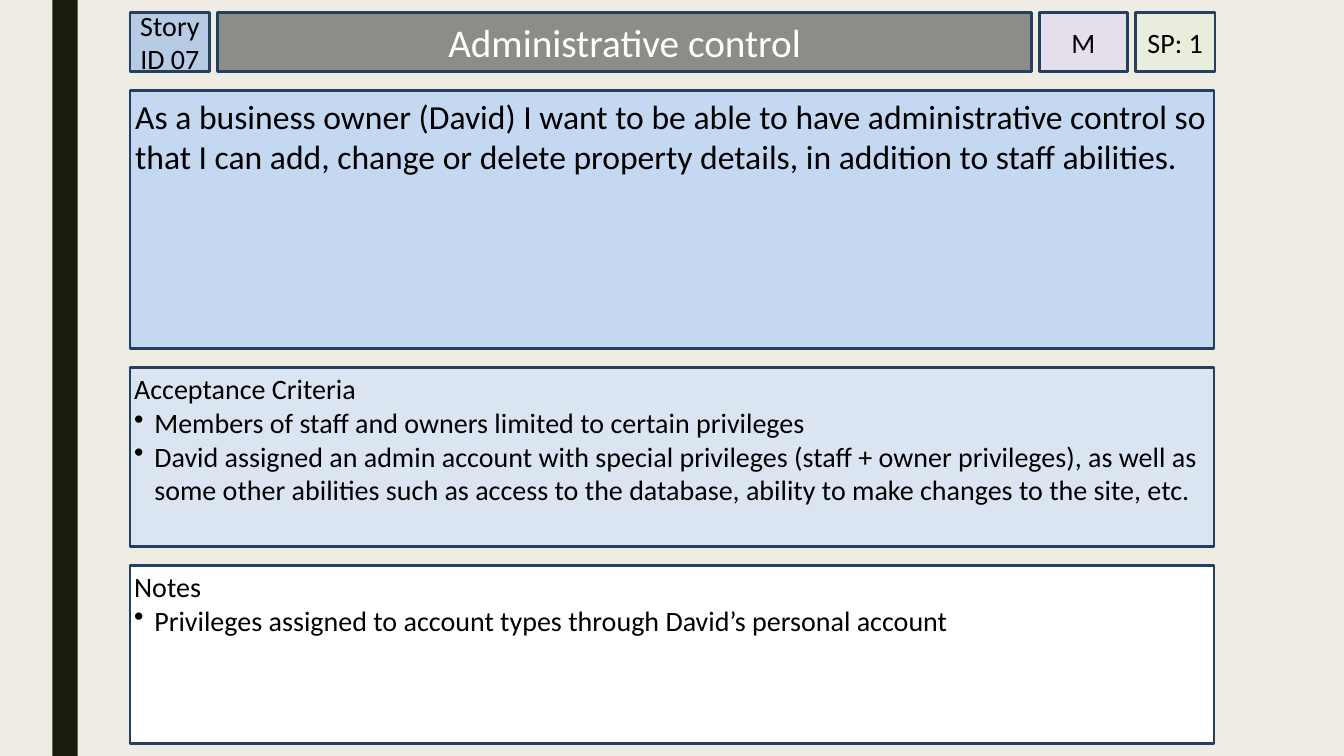
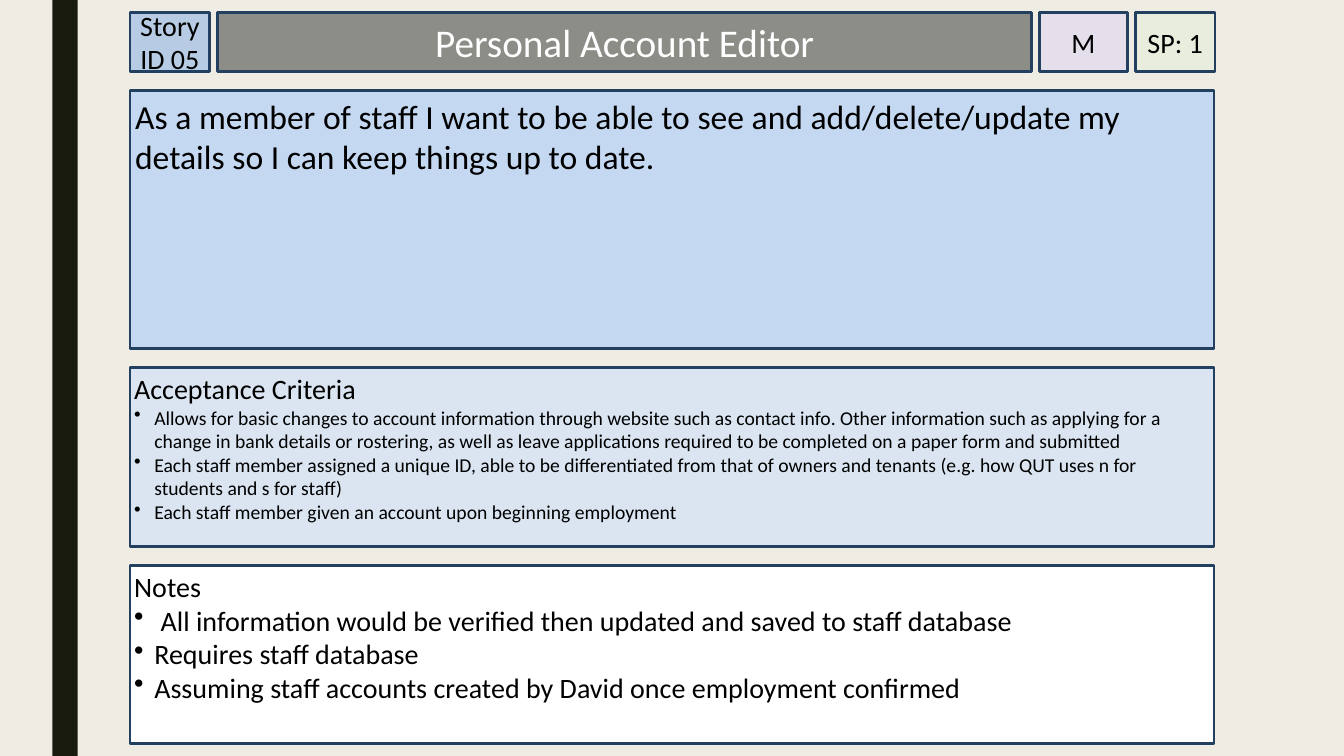
"""Build two user story cards that share one header row and three stacked panels."""
from dataclasses import dataclass

import lxml.etree
import pptx
import pptx.dml.color
import pptx.enum.shapes
import pptx.enum.text
import pptx.oxml.ns
import pptx.util

Inches = pptx.util.Inches
Pt = pptx.util.Pt
RGBColor = pptx.dml.color.RGBColor
Align = pptx.enum.text.PP_ALIGN
Anchor = pptx.enum.text.MSO_ANCHOR
qn = pptx.oxml.ns.qn

PAPER = RGBColor(0xEF, 0xED, 0xE3)
SIDE_BAND = RGBColor(0x19, 0x1B, 0x0E)
BORDER = RGBColor(0x24, 0x40, 0x61)
ID_FILL = RGBColor(0xB7, 0xCC, 0xE4)
TITLE_FILL = RGBColor(0x8C, 0x8D, 0x86)
PRIORITY_FILL = RGBColor(0xE5, 0xDF, 0xEC)
POINTS_FILL = RGBColor(0xCC, 0xF0, 0xCD)
STORY_FILL = RGBColor(0xC5, 0xD8, 0xF1)
CRITERIA_FILL = RGBColor(0xDA, 0xE5, 0xF1)
WHITE = RGBColor(0xFF, 0xFF, 0xFF)
BLACK = RGBColor(0x00, 0x00, 0x00)

FONT = "Calibri"
LEFT, TOP, CARD_WIDTH = 1.29, 0.12, 10.75
HEADER_HEIGHT, HEADER_GAP, ROW_GAP = 0.59, 0.08, 0.19
HEADER_WIDTHS = (0.79, 8.07, 0.87, 0.79)
PANEL_HEIGHTS = (2.56, 1.77, 1.77)
BULLET_INDENT = Inches(0.2)


@dataclass(frozen=True)
class Box:
    """Place of one box, in inches."""

    left: float
    top: float
    width: float
    height: float


@dataclass(frozen=True)
class Style:
    """Look of one kind of box."""

    fill: RGBColor
    size: int
    inset: float = 0
    color: RGBColor = BLACK
    align: Align = Align.CENTER
    anchor: Anchor = Anchor.MIDDLE
    opacity: int = 100


@dataclass(frozen=True)
class Story:
    """Content of one story card."""

    story_id: str
    title: str
    priority: str
    points: str
    story: str
    criteria: tuple[str, ...]
    notes: tuple[str, ...]
    criteria_size: int = 20


ID_STYLE = Style(ID_FILL, 20)
TITLE_STYLE = Style(TITLE_FILL, 28, 0.05, WHITE)
PRIORITY_STYLE = Style(PRIORITY_FILL, 20)
POINTS_STYLE = Style(POINTS_FILL, 20, opacity=20)
STORY_STYLE = Style(STORY_FILL, 24, 0.05, align=Align.LEFT, anchor=Anchor.TOP)
CRITERIA_STYLE = Style(CRITERIA_FILL, 20, 0.04, align=Align.LEFT, anchor=Anchor.TOP)
NOTES_STYLE = Style(WHITE, 20, 0.04, align=Align.LEFT, anchor=Anchor.TOP)

STORIES = (
    Story(
        "Story ID 07", "Administrative control", "M", "SP: 1",
        "As a business owner (David) I want to be able to have administrative control "
        "so that I can add, change or delete property details, in addition to staff abilities.",
        (
            "Members of staff and owners limited to certain privileges",
            "David assigned an admin account with special privileges (staff + owner "
            "privileges), as well as some other abilities such as access to the database, "
            "ability to make changes to the site, etc.",
        ),
        ("Privileges assigned to account types through David’s personal account",),
    ),
    Story(
        "Story ID 05", "Personal Account Editor", "M", "SP: 1",
        "As a member of staff I want to be able to see and add/delete/update my details "
        "so I can keep things up to date.",
        (
            "Allows for basic changes to account information through website such as "
            "contact info. Other information such as applying for a change in bank details "
            "or rostering, as well as leave applications required to be completed on a "
            "paper form and submitted",
            "Each staff member assigned a unique ID, able to be differentiated from that of "
            "owners and tenants (e.g. how QUT uses n for students and s for staff)",
            "Each staff member given an account upon beginning employment",
        ),
        (
            " All information would be verified then updated and saved to staff database",
            "Requires staff database",
            "Assuming staff accounts created by David once employment confirmed",
        ),
        criteria_size=14,
    ),
)


def header_boxes() -> list[Box]:
    """Lay the header boxes out from left to right."""
    return [
        Box(LEFT + sum(HEADER_WIDTHS[:i]) + i * HEADER_GAP, TOP, width, HEADER_HEIGHT)
        for i, width in enumerate(HEADER_WIDTHS)
    ]


def panel_boxes() -> list[Box]:
    """Stack the panels under the header."""
    first = TOP + HEADER_HEIGHT + ROW_GAP
    return [
        Box(LEFT, first + sum(PANEL_HEIGHTS[:i]) + i * ROW_GAP, CARD_WIDTH, height)
        for i, height in enumerate(PANEL_HEIGHTS)
    ]


def add_bullet(paragraph: pptx.text.text._Paragraph) -> None:
    """Give a paragraph a hanging black bullet."""
    properties = paragraph._p.get_or_add_pPr()
    properties.set("marL", str(BULLET_INDENT))
    properties.set("indent", str(-BULLET_INDENT))
    color = lxml.etree.SubElement(properties, qn("a:buClr"))
    lxml.etree.SubElement(color, qn("a:srgbClr"), val=str(BLACK))
    lxml.etree.SubElement(properties, qn("a:buChar"), char="•")


def fill_box(shape: pptx.shapes.autoshape.Shape, box: Box, style: Style, text: str,
             bullets: tuple[str, ...] = (), bullet_size: int = 20) -> None:
    """Place a shape, style it and write its text and bullets."""
    shape.left, shape.top = Inches(box.left), Inches(box.top)
    shape.width, shape.height = Inches(box.width), Inches(box.height)
    shape.fill.solid()
    shape.fill.fore_color.rgb = style.fill
    if style.opacity < 100:
        fill_color = shape.element.spPr.find(qn("a:solidFill")).find(qn("a:srgbClr"))
        lxml.etree.SubElement(fill_color, qn("a:alpha"), val=str(style.opacity * 1000))
    shape.line.color.rgb = BORDER
    shape.line.width = Pt(2)
    shape.shadow.inherit = False

    frame = shape.text_frame
    frame.word_wrap = True
    frame.auto_size = pptx.enum.text.MSO_AUTO_SIZE.NONE
    frame.vertical_anchor = style.anchor
    frame.margin_left = frame.margin_right = Inches(style.inset)
    frame.margin_top = frame.margin_bottom = Inches(style.inset)
    frame.text = "\n".join((text, *bullets))
    for i, paragraph in enumerate(frame.paragraphs):
        paragraph.alignment = style.align
        if i:
            add_bullet(paragraph)
        for run in paragraph.runs:
            run.font.name = FONT
            run.font.size = Pt(bullet_size if i else style.size)
            run.font.color.rgb = style.color


def add_box(slide: pptx.slide.Slide, box: Box, style: Style, text: str,
            bullets: tuple[str, ...] = (), bullet_size: int = 20) -> None:
    """Add a bordered rectangle with text."""
    shape = slide.shapes.add_shape(pptx.enum.shapes.MSO_SHAPE.RECTANGLE, 0, 0, 0, 0)
    fill_box(shape, box, style, text, bullets, bullet_size)


def add_side_band(slide: pptx.slide.Slide) -> None:
    """Set the shared background and put the side band on the slide's layout."""
    layout = slide.slide_layout
    background = layout.slide_master.background.fill
    background.solid()
    background.fore_color.rgb = PAPER
    band = slide.shapes.add_shape(
        pptx.enum.shapes.MSO_SHAPE.RECTANGLE, Inches(0.52), 0, Inches(0.25), Inches(7.5))
    band.fill.solid()
    band.fill.fore_color.rgb = SIDE_BAND
    band.line.fill.background()
    band.shadow.inherit = False
    band.element.nvSpPr.cNvPr.set("id", "100")
    layout.shapes.element.insert(2, band.element)


def add_story(slide: pptx.slide.Slide, story: Story) -> None:
    """Draw one story card."""
    id_box, title_box, priority_box, points_box = header_boxes()
    story_box, criteria_box, notes_box = panel_boxes()
    add_box(slide, id_box, ID_STYLE, story.story_id)
    fill_box(slide.shapes.title, title_box, TITLE_STYLE, story.title)
    add_box(slide, priority_box, PRIORITY_STYLE, story.priority)
    add_box(slide, points_box, POINTS_STYLE, story.points)
    add_box(slide, story_box, STORY_STYLE, story.story)
    add_box(slide, criteria_box, CRITERIA_STYLE, "Acceptance Criteria",
            story.criteria, story.criteria_size)
    add_box(slide, notes_box, NOTES_STYLE, "Notes", story.notes)


def main() -> None:
    """Build and save the presentation."""
    deck = pptx.Presentation()
    deck.slide_width, deck.slide_height = Inches(13.33), Inches(7.5)
    title_only = deck.slide_layouts[5]
    slides = [deck.slides.add_slide(title_only) for _ in STORIES]
    add_side_band(slides[0])
    for slide, story in zip(slides, STORIES):
        add_story(slide, story)
    deck.save("out.pptx")


if __name__ == "__main__":
    main()
